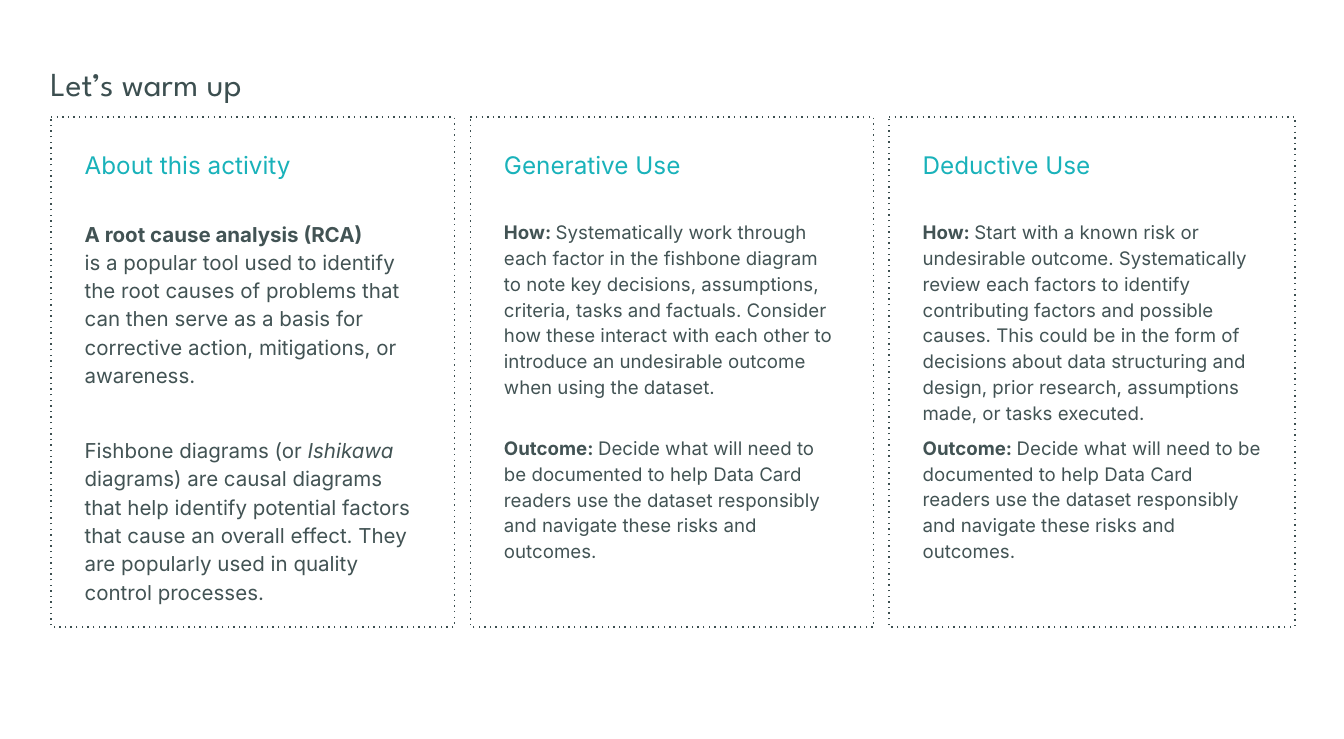
from pptx import Presentation
from pptx.dml.color import RGBColor
from pptx.enum.dml import MSO_LINE
from pptx.enum.shapes import MSO_SHAPE
from pptx.enum.text import MSO_ANCHOR, MSO_AUTO_SIZE, PP_ALIGN
from pptx.util import Inches, Pt

COLORS = {"title": "3C4F50", "heading": "19B2BA", "body": "425354"}
OUTCOME = ("Decide what will need to be documented to help Data Card readers use "
           "the dataset responsibly and navigate these risks and outcomes.")

# Each card: left, width, heading, body size, paragraphs (space before, styled runs)
CARDS = [
    (0.76, 6, "About this activity", 22, [
        (41, [("A root cause analysis (RCA)\n", "bold"),
              ("is a popular tool used to identify the root causes of problems that can "
               "then serve as a basis for corrective action, mitigations, or awareness.", "")]),
        (50, [("Fishbone diagrams (or ", ""), ("Ishikawa", "italic"),
              (" diagrams) are causal diagrams that help identify potential factors that "
               "cause an overall effect. They are popularly used in quality control "
               "processes.", "")]),
    ]),
    (7, 6, "Generative Use", 20, [
        (41, [("How: ", "bold"),
              ("Systematically work through each factor in the fishbone diagram to note key "
               "decisions, assumptions, criteria, tasks and factuals. Consider how these "
               "interact with each other to introduce an undesirable outcome when using "
               "the dataset.", "")]),
        (38, [("Outcome: ", "bold"), (OUTCOME, "")]),
    ]),
    (13.23, 6.04, "Deductive Use", 20, [
        (41, [("How: ", "bold"),
              ("Start with a known risk or undesirable outcome. Systematically review each "
               "factors to identify contributing factors and possible causes. This could be "
               "in the form of decisions about data structuring and design, prior research, "
               "assumptions made, or tasks executed.", "")]),
        (10, [("Outcome: ", "bold"), (OUTCOME, "")]),
    ]),
]


def add_text(paragraph, text, size, color, font="Inter", style=""):
    """Add a formatted run; a closing newline becomes a line break."""
    paragraph.alignment = PP_ALIGN.LEFT
    run = paragraph.add_run()
    run.text = text.rstrip("\n")
    run.font.name = font
    run.font.size = Pt(size)
    run.font.bold = style == "bold"
    run.font.italic = style == "italic"
    run.font.color.rgb = RGBColor.from_string(COLORS[color])
    if text.endswith("\n"):
        paragraph.add_line_break()


def set_frame(frame, inset, anchor):
    frame.word_wrap = True
    frame.auto_size = MSO_AUTO_SIZE.NONE
    frame.vertical_anchor = anchor
    frame.margin_left = frame.margin_right = Inches(inset)
    frame.margin_top = frame.margin_bottom = Inches(inset)


presentation = Presentation()
presentation.slide_width = Inches(20)
presentation.slide_height = Inches(11)
slide = presentation.slides.add_slide(presentation.slide_layouts.get_by_name("Title Only"))

# Title
title = slide.shapes.title
title.left, title.top = Inches(0.75), Inches(0.74)
title.width, title.height = Inches(18.5), Inches(1)
set_frame(title.text_frame, 0, MSO_ANCHOR.MIDDLE)
add_text(title.text_frame.paragraphs[0], "Let’s warm up", 36, "title", font="League Spartan")

# Dotted cards
for left, width, heading, size, paragraphs in CARDS:
    card = slide.shapes.add_shape(MSO_SHAPE.ROUNDED_RECTANGLE, Inches(left), Inches(1.74),
                                  Inches(width), Inches(7.59))
    card.adjustments[0] = 0
    card.shadow.inherit = False
    card.fill.background()
    card.line.color.rgb = RGBColor.from_string(COLORS["title"])
    card.line.width = Pt(1.5)
    card.line.dash_style = MSO_LINE.ROUND_DOT
    card.element.xpath(".//a:prstDash")[0].set("val", "dot")

    frame = card.text_frame
    set_frame(frame, 0.5, MSO_ANCHOR.TOP)
    add_text(frame.paragraphs[0], heading, 26, "heading")
    for space_before, runs in paragraphs:
        paragraph = frame.add_paragraph()
        paragraph.line_spacing = 1.15
        paragraph.space_before = Pt(space_before)
        for text, style in runs:
            add_text(paragraph, text, size, "body", style=style)

presentation.save("out.pptx")
